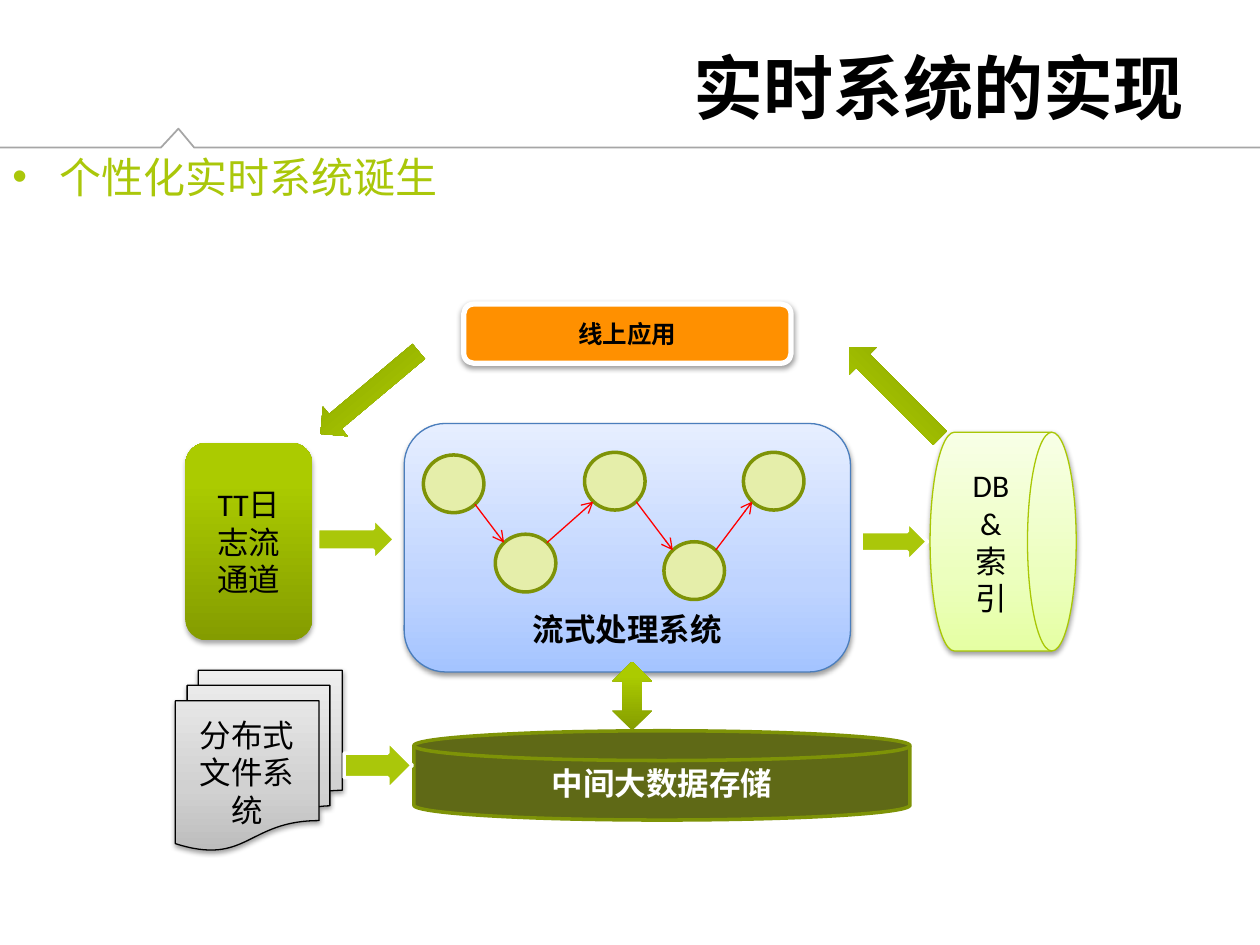
from itertools import pairwise
from math import sqrt

from lxml.etree import SubElement
from pptx import Presentation
from pptx.dml.color import RGBColor
from pptx.enum.shapes import MSO_CONNECTOR as LINE, MSO_SHAPE as SHAPE
from pptx.enum.text import MSO_ANCHOR as ANCHOR, PP_ALIGN as ALIGN
from pptx.oxml.ns import qn
from pptx.util import Pt

COLORS = {
    "black": "000000", "white": "FFFFFF", "rule": "A6A6A6", "lime": "AAC70A",
    "olive": "5F6916", "olive_line": "7E9307", "blue_line": "4B7EBC",
    "drum_line": "A9C705", "orange": "FF9000", "node": "E5EEAA", "red": "FF0000",
}
# Gradient stops run from bottom to top: (percent, colour)
GRADIENTS = {
    "blue_fade": [(0, "A4C4FF"), (35, "BFD4FF"), (100, "E6EEFF")],
    "lime_fade": [(0, "849C00"), (80, "ABCB00"), (100, "ACCB00")],
    "pale_fade": [(0, "E5FFA3"), (35, "ECFFBE"), (100, "F8FFE6")],
    "gray_fade": [(0, "BDBDBD"), (35, "D1D1D1"), (100, "EEEEEE")],
}
FONT = "Calibri"
TITLE = "实时系统的实现"
SUBTITLE = "个性化实时系统诞生"
HEADER_RULE = [(0, 84.3), (92, 84.3), (102, 73.5), (111, 84.3), (720, 84.3)]

# kind, (left, top, width, height), fill, line, paragraphs, format
BOXES = [
    (SHAPE.ROUNDED_RECTANGLE, (231, 242, 255, 142), "blue_fade", ("blue_line", 0.75),
     ["流式处理系统"], dict(bold=True, shadow=38, anchor=ANCHOR.BOTTOM, bottom=7)),
    (SHAPE.FLOWCHART_MAGNETIC_DISK, (236.5, 417.6, 283.5, 51), "olive", ("olive_line", 2),
     ["中间大数据存储"], dict(bold=True, color="white")),
    (SHAPE.FLOWCHART_ALTERNATE_PROCESS, (106, 253, 72.5, 113), "lime_fade", None,
     ["TT日志流通道"], dict(shadow=35)),
    (SHAPE.FLOWCHART_DIRECT_ACCESS_STORAGE, (531.5, 247, 83.5, 125), "pale_fade",
     ("drum_line", 0.75), ["DB", "&", "索引"], dict(shadow=38)),
    (SHAPE.FLOWCHART_MULTIDOCUMENT, (100.2, 383, 95.4, 103), "gray_fade", ("black", 0.75),
     ["分布式文件系统"], dict(shadow=38)),
    (SHAPE.ROUNDED_RECTANGLE, (265, 173.8, 187, 33.8), "orange", ("white", 3),
     ["线上应用"], dict(size=14, bold=True, shadow=38)),
]
FLAT_ARROWS = [(181.6, 296, 44, 24.5), (196.6, 423.4, 39, 28), (492, 298, 38, 23)]
STORE_ARROW = (350, 378, 22.5, 39.5)
SLANTED_ARROWS = [((174.5, 213.2, 73.4, 22.3), 140), ((474.5, 213.2, 73.4, 22.3), 225)]
NODE_SIZE = (34.6, 33)
NODES = [(241.9, 260), (283, 305.3), (334, 258.5), (379.4, 309.6), (424.8, 258.5)]


def rgb(name):
    return RGBColor.from_string(COLORS[name])


def paint(sp, fill, line=None):
    """Fill with a plain colour or a vertical gradient, and set the outline."""
    sp.shadow.inherit = False
    if fill in GRADIENTS:
        sp.fill.gradient()
        sp.fill.gradient_angle = 90
        stops = sp.element.spPr.find(f".//{qn('a:gsLst')}")
        for gs in list(stops):
            stops.remove(gs)
        for pos, color in GRADIENTS[fill]:
            gs = SubElement(stops, qn("a:gs"), pos=str(pos * 1000))
            SubElement(gs, qn("a:srgbClr"), val=color)
    elif fill:
        sp.fill.solid()
        sp.fill.fore_color.rgb = rgb(fill)
    else:
        sp.fill.background()
    if line:
        sp.line.color.rgb = rgb(line[0])
        sp.line.width = Pt(line[1])
    else:
        sp.line.fill.background()


def add_shadow(sp, alpha):
    effects = sp.element.spPr.find(qn("a:effectLst"))
    shadow = SubElement(effects, qn("a:outerShdw"), blurRad=str(Pt(3.1)), dist=str(Pt(1.6)),
                        dir="5400000", rotWithShape="0")
    color = SubElement(shadow, qn("a:srgbClr"), val=COLORS["black"])
    SubElement(color, qn("a:alpha"), val=str(alpha * 1000))


def write(sp, lines, size=18, color="black", bold=False, align=ALIGN.CENTER,
          anchor=ANCHOR.MIDDLE, bottom=3.6):
    tf = sp.text_frame
    for name, value in dict(word_wrap=True, vertical_anchor=anchor,
                            margin_bottom=Pt(bottom)).items():
        setattr(tf, name, value)
    for i, text in enumerate(lines):
        p = tf.paragraphs[0] if i == 0 else tf.add_paragraph()
        p.alignment = align
        r = p.add_run()
        r.text = text
        for name, value in dict(name=FONT, size=Pt(size), bold=bold).items():
            setattr(r.font, name, value)
        r.font.color.rgb = rgb(color)


def add_shape(s, kind, box, fill, line=None):
    sp = s.shapes.add_shape(kind, *map(Pt, box))
    paint(sp, fill, line)
    return sp


def add_header(s):
    builder = s.shapes.build_freeform(*map(Pt, HEADER_RULE[0]))
    builder.add_line_segments([(Pt(x), Pt(y)) for x, y in HEADER_RULE[1:]], close=False)
    paint(builder.convert_to_shape(), None, ("rule", 1))

    title = s.shapes.title
    title.left, title.top, title.width, title.height = map(Pt, (36.7, 21, 646.6, 57))
    write(title, [TITLE], size=40, bold=True, align=ALIGN.RIGHT)

    body = s.shapes.add_textbox(*map(Pt, (0, 82.8, 720, 40)))
    pPr = body.text_frame.paragraphs[0]._p.get_or_add_pPr()
    pPr.set("marL", str(Pt(27)))
    pPr.set("indent", str(-Pt(27)))
    SubElement(pPr, qn("a:buFont"), typeface="Arial")
    SubElement(pPr, qn("a:buChar"), char="•")
    write(body, [SUBTITLE], size=24, color="lime", align=ALIGN.LEFT, anchor=ANCHOR.TOP)


def add_node_chain(s):
    """Zigzag of nodes, joined at the 45-degree points of their rims."""
    w, h = NODE_SIZE
    for x, y in NODES:
        add_shape(s, SHAPE.FLOWCHART_CONNECTOR, (x, y, w, h), "node", ("olive_line", 2))
    dx, dy = w / 2 / sqrt(2), h / 2 / sqrt(2)
    for (x1, y1), (x2, y2) in pairwise(NODES):
        rim = dy if y2 > y1 else -dy
        ends = (x1 + w / 2 + dx, y1 + h / 2 + rim, x2 + w / 2 - dx, y2 + h / 2 - rim)
        link = s.shapes.add_connector(LINE.STRAIGHT, *map(Pt, ends))
        link.line.color.rgb = rgb("red")
        link.line.width = Pt(0.75)
        SubElement(link.line._get_or_add_ln(), qn("a:tailEnd"), type="arrow")
        SubElement(link.element.spPr, qn("a:effectLst"))


def main():
    prs = Presentation()
    prs.slide_width, prs.slide_height = Pt(720), Pt(540)
    s = prs.slides.add_slide(prs.slide_layouts[5])
    add_header(s)
    for kind, box, fill, line, lines, fmt in BOXES:
        sp = add_shape(s, kind, box, fill, line)
        if "shadow" in fmt:
            add_shadow(sp, fmt["shadow"])
        write(sp, lines, **{k: v for k, v in fmt.items() if k != "shadow"})
    for box in FLAT_ARROWS:
        add_shape(s, SHAPE.RIGHT_ARROW, box, "lime", ("white", 2))
    add_node_chain(s)
    add_shape(s, SHAPE.UP_DOWN_ARROW, STORE_ARROW, "lime_fade")
    for box, angle in SLANTED_ARROWS:
        sp = add_shape(s, SHAPE.RIGHT_ARROW, box, "lime_fade")
        sp.rotation = angle
    prs.save("out.pptx")


if __name__ == "__main__":
    main()
